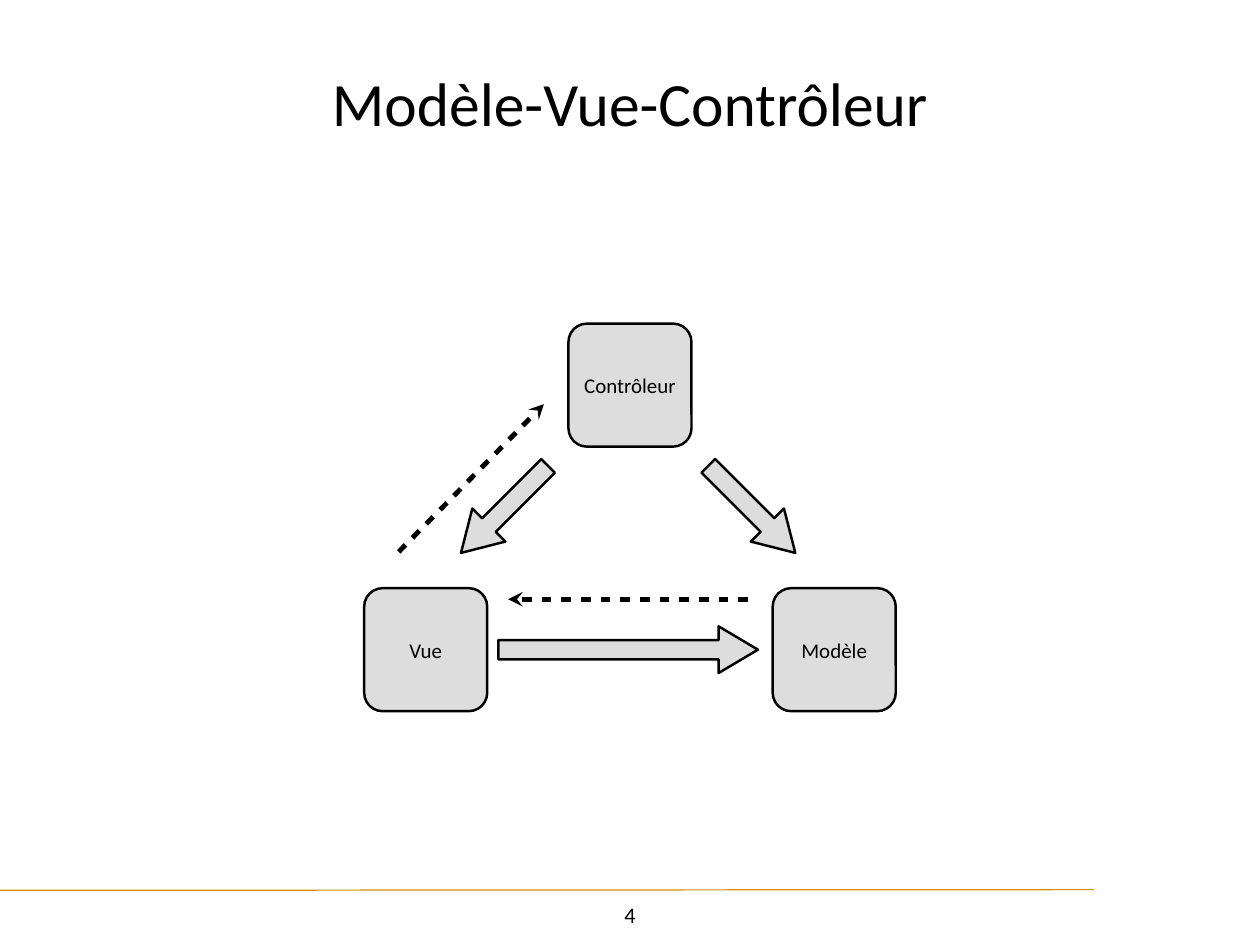
"""Build the Modèle-Vue-Contrôleur slide."""
from lxml import etree
from pptx import Presentation
from pptx.dml.color import RGBColor
from pptx.enum import shapes, text
from pptx.oxml import ns
from pptx.util import Pt

BLACK = RGBColor(0x00, 0x00, 0x00)
GREY = RGBColor(0xDD, 0xDD, 0xDD)
GOLD = RGBColor(0xD7, 0x90, 0x00)
SIDE = 100
ARROW_HEIGHT = 38


def write(tf, content, size, wrap=True, anchor=text.MSO_ANCHOR.MIDDLE):
    tf.word_wrap = wrap
    tf.vertical_anchor = anchor
    tf.margin_left = tf.margin_right = tf.margin_top = tf.margin_bottom = Pt(4)
    p = tf.paragraphs[0]
    p.text = content
    p.alignment = text.PP_ALIGN.CENTER
    p.font.name = "Calibri"
    p.font.size = Pt(size)
    p.font.color.rgb = BLACK


def add_text(s, box, content, size, **options):
    sp = s.shapes.add_textbox(*map(Pt, box))
    write(sp.text_frame, content, size, **options)


def add_grey_shape(s, kind, box, adjustments):
    sp = s.shapes.add_shape(kind, *map(Pt, box))
    sp.shadow.inherit = False
    sp.fill.solid()
    sp.fill.fore_color.rgb = GREY
    sp.line.color.rgb = BLACK
    sp.line.width = Pt(2)
    for i, value in enumerate(adjustments):
        sp.adjustments[i] = value
    return sp


def add_line(s, start, end, color, width):
    line = s.shapes.add_connector(shapes.MSO_CONNECTOR.STRAIGHT, *map(Pt, start + end))
    line.line.color.rgb = color
    line.line.width = Pt(width)
    etree.SubElement(line._element.spPr, ns.qn("a:effectLst"))
    return line


def add_dashed_arrow(s, start, end):
    ln = add_line(s, start, end, BLACK, 4).line._get_or_add_ln()
    dash = etree.SubElement(ln, ns.qn("a:custDash"))
    etree.SubElement(dash, ns.qn("a:ds"), d="200000", sp="200000")
    etree.SubElement(ln, ns.qn("a:tailEnd"), type="stealth")


def add_title(s, box):
    add_text(s, box, "Modèle-Vue-Contrôleur", 50)


def add_diagram(s, left, top, width, height):
    right, bottom = left + width - SIDE, top + height - SIDE
    nodes = [
        ("Contrôleur", (left + right) / 2, top),
        ("Modèle", right, bottom),
        ("Vue", left, bottom),
    ]
    for name, x, y in nodes:
        sp = add_grey_shape(s, shapes.MSO_SHAPE.ROUNDED_RECTANGLE, (x, y, SIDE, SIDE), [0.15])
        write(sp.text_frame, name, 17)

    for x, y, length, angle in [(64, 132, 100, 135), (265, 132, 100, 45), (109, 246, 211, 0)]:
        box = (left + x, top + y, length, ARROW_HEIGHT)
        sp = add_grey_shape(s, shapes.MSO_SHAPE.RIGHT_ARROW, box, [0.411, 0.842])
        sp.rotation = angle

    add_dashed_arrow(s, (left + 312, top + 224), (left + 117, top + 224))
    add_dashed_arrow(s, (left + 28, top + 185.5), (left + 146, top + 65.5))


def add_footer(s, left, top, width, height):
    add_line(s, (left, top + 0.6), (left + width, top), GOLD, 1)
    number_box = (498.5, top + 5.7, 27, height - 5.7)
    add_text(s, number_box, "4", 18, wrap=False, anchor=text.MSO_ANCHOR.TOP)


prs = Presentation()
prs.slide_width, prs.slide_height = Pt(1024), Pt(768)
s = prs.slides.add_slide(prs.slide_layouts[6])
add_footer(s, -28, 723, 917, 34.5)
add_title(s, (100, 20, 824, 125))
add_diagram(s, 296, 263, 432, 315)
prs.save("out.pptx")
